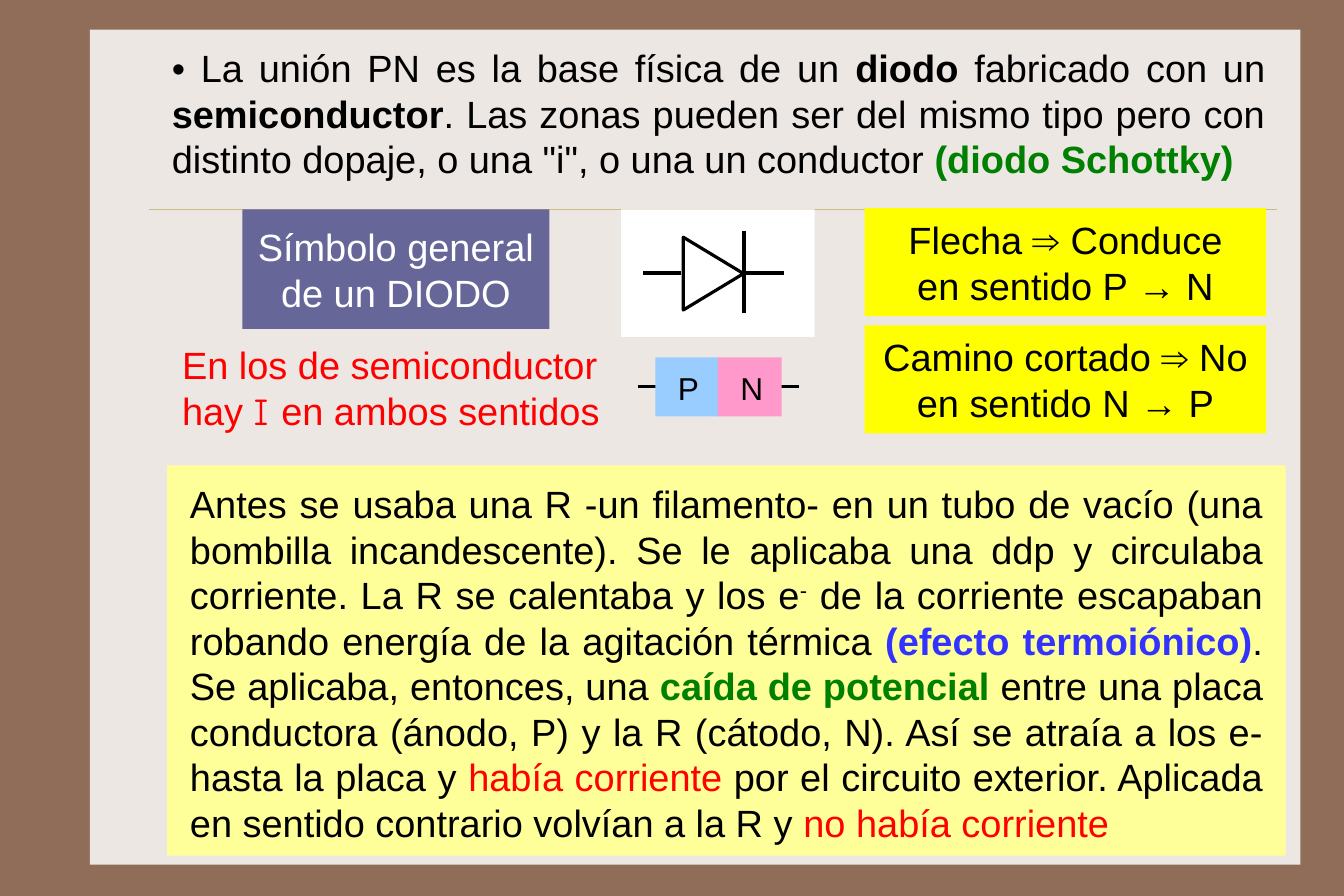
"""Build a slide on the PN junction and the diode symbol."""
from dataclasses import dataclass
from typing import NamedTuple, Optional

from lxml.etree import SubElement
from pptx import Presentation
from pptx.dml.color import RGBColor
from pptx.enum.shapes import MSO_CONNECTOR, MSO_SHAPE
from pptx.enum.text import MSO_ANCHOR, PP_ALIGN
from pptx.oxml.ns import qn
from pptx.shapes.autoshape import Shape
from pptx.slide import Slide
from pptx.util import Inches, Pt

SLIDE_WIDTH = Inches(189 / 16)
SLIDE_HEIGHT = Inches(63 / 8)

BROWN = RGBColor(0x90, 0x6D, 0x58)
CREAM = RGBColor(0xED, 0xE7, 0xE3)
SAND = RGBColor(0xCB, 0xBD, 0x83)
BLACK = RGBColor(0x00, 0x00, 0x00)
WHITE = RGBColor(0xFF, 0xFF, 0xFF)
PURPLE = RGBColor(0x66, 0x66, 0x99)
YELLOW = RGBColor(0xFF, 0xFF, 0x00)
PALE_YELLOW = RGBColor(0xFF, 0xFF, 0x99)
SKY = RGBColor(0x99, 0xCC, 0xFF)
PINK = RGBColor(0xFF, 0x99, 0xCC)
GREEN = RGBColor(0x00, 0x80, 0x00)
BLUE = RGBColor(0x33, 0x33, 0xFF)
RED = RGBColor(0xFF, 0x00, 0x00)

EVEN_INSETS = (0.12, 0.12, 0.12, 0.12)
WIDE_INSETS = (0.2, 0.12, 0.2, 0.08)
LABEL_INSETS = (0.1, 0.13, 0.1, 0.13)


class Span(NamedTuple):
    text: str
    color: Optional[RGBColor] = None
    bold: bool = False
    font: Optional[str] = None
    superscript: bool = False


@dataclass
class TextBlock:
    left: float
    top: float
    width: float
    height: float
    paragraphs: list[list[Span]]
    fill: Optional[RGBColor] = None
    color: RGBColor = BLACK
    align: PP_ALIGN = PP_ALIGN.CENTER
    insets: tuple[float, float, float, float] = EVEN_INSETS
    anchor: MSO_ANCHOR = MSO_ANCHOR.MIDDLE
    size: float = 24
    leading: Optional[float] = 28.8
    wrap: bool = True


class Line(NamedTuple):
    x1: float
    y1: float
    x2: float
    y2: float
    color: RGBColor = BLACK
    weight: float = 2


class Zone(NamedTuple):
    letter: str
    left: float
    fill: RGBColor


INTRO = TextBlock(1.31, 0.27, 10.01, 1.41, [[
    Span("• La unión PN es la base física de un "),
    Span("diodo", bold=True),
    Span(" fabricado con un "),
    Span("semiconductor", bold=True),
    Span(". Las zonas pueden ser del mismo tipo pero con distinto dopaje, "
         "o una \"i\", o una un conductor "),
    Span("(diodo Schottky)", GREEN, True),
]], align=PP_ALIGN.JUSTIFY, insets=WIDE_INSETS)

SYMBOL_TITLE = TextBlock(
    2.13, 1.84, 2.7, 1.05,
    [[Span("Símbolo general")], [Span("de un DIODO")]], PURPLE, WHITE)

DIRECTIONS = [
    TextBlock(7.6, 1.83 + 1.03 * i, 3.53, 0.95,
              [[Span(first)], [Span(second)]], YELLOW)
    for i, (first, second) in enumerate([
        ("Flecha ⇒ Conduce", "en sentido P → N"),
        ("Camino cortado ⇒ No", "en sentido N → P"),
    ])
]

BOTH_WAYS = TextBlock(1.48, 2.88, 4.05, 1.05, [[
    Span("En los de semiconductor hay "),
    Span("I ", font="Comic Neue"),
    Span("en ambos sentidos"),
]], color=RED, align=PP_ALIGN.LEFT)

HISTORY = TextBlock(1.47, 4.09, 9.83, 3.43, [[
    Span("Antes se usaba una R -un filamento- en un tubo de vacío (una "
         "bombilla incandescente). Se le aplicaba una ddp y circulaba "
         "corriente. La R se calentaba y los e"),
    Span("-", superscript=True),
    Span(" de la corriente escapaban robando energía de la agitación térmica "),
    Span("(efecto termoiónico)", BLUE, True),
    Span(". Se aplicaba, entonces, una "),
    Span("caída de potencial ", GREEN, True),
    Span("entre una placa conductora (ánodo, P) y la R (cátodo, N). Así se "
         "atraía a los e- hasta la placa y "),
    Span("había corriente", RED),
    Span(" por el circuito exterior. Aplicada en sentido contrario volvían "
         "a la R y "),
    Span("no había corriente", RED),
]], PALE_YELLOW, align=PP_ALIGN.JUSTIFY, insets=WIDE_INSETS)

DIODE_LINES = [
    Line(6.54, 2.03, 6.54, 2.75),
    Line(6.89, 2.4, 6.55, 2.4),
    Line(5.99, 2.4, 5.65, 2.4),
]
ZONES = [Zone("P", 5.76, SKY), Zone("N", 6.31, PINK)]


def add_box(s: Slide, left: float, top: float, width: float, height: float,
            fill: Optional[RGBColor],
            kind: MSO_SHAPE = MSO_SHAPE.RECTANGLE) -> Shape:
    """Add a flat, unlined shape with an optional fill."""
    sp = s.shapes.add_shape(
        kind, Inches(left), Inches(top), Inches(width), Inches(height))
    sp.shadow.inherit = False
    sp.line.fill.background()
    if fill is None:
        sp.fill.background()
    else:
        sp.fill.solid()
        sp.fill.fore_color.rgb = fill
    return sp


def add_line(s: Slide, line: Line) -> None:
    """Add a straight line without a shadow."""
    cxn = s.shapes.add_connector(
        MSO_CONNECTOR.STRAIGHT, Inches(line.x1), Inches(line.y1),
        Inches(line.x2), Inches(line.y2))
    cxn.line.color.rgb = line.color
    cxn.line.width = Pt(line.weight)
    SubElement(cxn._element.spPr, qn("a:effectLst"))


def add_text(s: Slide, block: TextBlock) -> None:
    """Add a block of formatted text, on a filled box if it has a fill."""
    area = (block.left, block.top, block.width, block.height)
    if block.fill is None:
        sp = s.shapes.add_textbox(*map(Inches, area))
    else:
        sp = add_box(s, *area, block.fill)
    tf = sp.text_frame
    tf.word_wrap = block.wrap
    tf.vertical_anchor = block.anchor
    (tf.margin_left, tf.margin_top,
     tf.margin_right, tf.margin_bottom) = map(Inches, block.insets)
    for i, spans in enumerate(block.paragraphs):
        p = tf.add_paragraph() if i else tf.paragraphs[0]
        p.alignment = block.align
        if block.leading:
            p.line_spacing = Pt(block.leading)
        for span in spans:
            r = p.add_run()
            r.text = span.text
            r.font.size = Pt(block.size)
            r.font.name = span.font or "Arial"
            r.font.bold = span.bold
            r.font.color.rgb = span.color or block.color
            if span.superscript:
                r.font._element.set("baseline", "30000")


def add_diode(s: Slide) -> None:
    """Draw the diode symbol on its white card."""
    add_box(s, 5.46, 1.84, 1.7, 1.12, WHITE)
    sp = add_box(s, 5.95, 2.14, 0.64, 0.53, None, MSO_SHAPE.ISOSCELES_TRIANGLE)
    sp.rotation = 90
    sp.line.color.rgb = BLACK
    sp.line.width = Pt(2)
    for line in DIODE_LINES:
        add_line(s, line)


def add_junction(s: Slide) -> None:
    """Draw the PN junction with its lead and labels."""
    add_line(s, Line(7.02, 3.4, 5.61, 3.4))
    for zone in ZONES:
        add_box(s, zone.left, 3.14, 0.56, 0.52, zone.fill)
    for zone in reversed(ZONES):
        add_text(s, TextBlock(
            zone.left + 0.1, 3.11, 0.4, 0.6, [[Span(zone.letter)]],
            align=PP_ALIGN.LEFT, insets=LABEL_INSETS, anchor=MSO_ANCHOR.TOP,
            size=20, leading=None, wrap=False))


def main() -> None:
    """Assemble and save the slide."""
    prs = Presentation()
    prs.slide_width, prs.slide_height = SLIDE_WIDTH, SLIDE_HEIGHT
    s = prs.slides.add_slide(prs.slide_layouts[6])
    s.background.fill.solid()
    s.background.fill.fore_color.rgb = BROWN
    add_box(s, 0.79, 0.26, 10.64, 7.34, CREAM)
    add_line(s, Line(1.31, 1.84, 11.22, 1.84, SAND, 0.25))
    add_text(s, INTRO)
    add_text(s, SYMBOL_TITLE)
    add_diode(s)
    add_junction(s)
    for block in [*DIRECTIONS, BOTH_WAYS, HISTORY]:
        add_text(s, block)
    prs.save("out.pptx")


if __name__ == "__main__":
    main()
